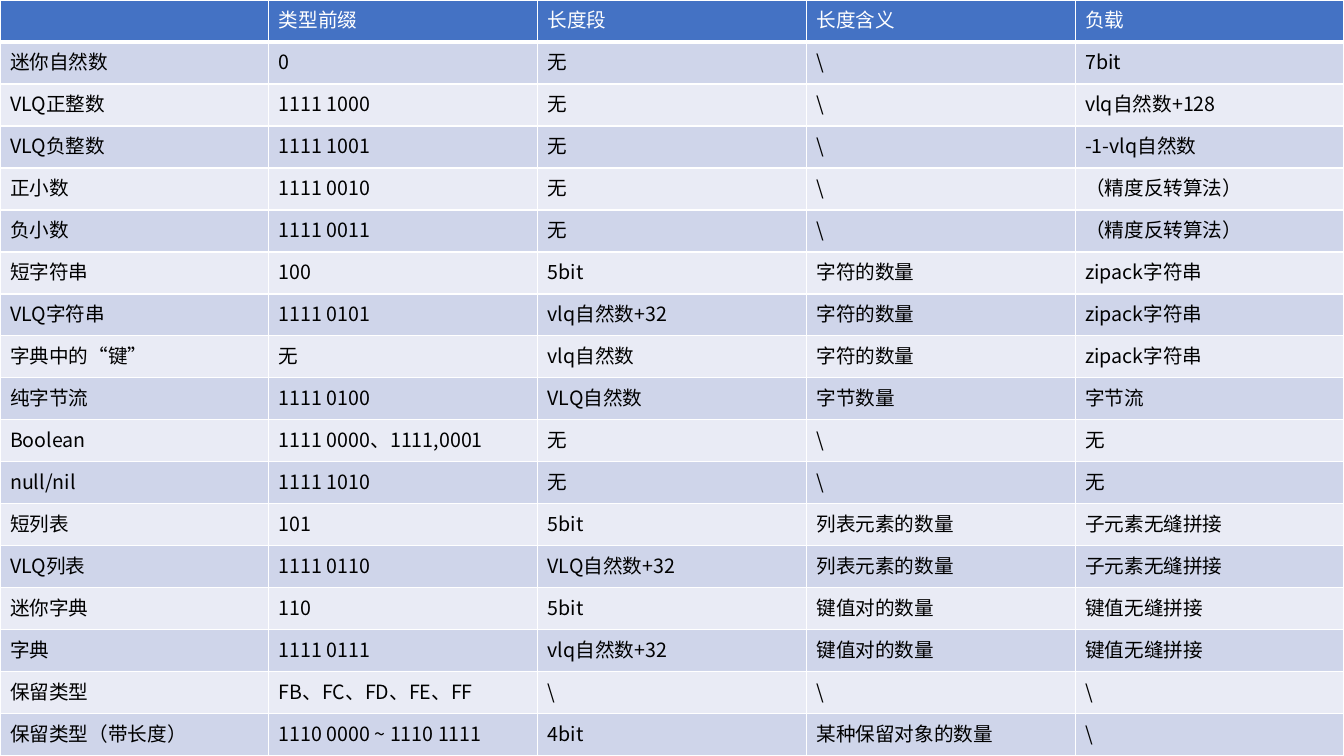
"""Build a one-slide table of type prefixes, length fields and payloads."""
from lxml.etree import SubElement
from pptx import Presentation
from pptx.dml.color import RGBColor
from pptx.oxml.ns import qn
from pptx.util import Pt

FONT = "Noto Sans CJK SC"
COLORS = {
    "background": "000000",
    "header": "4472C4",
    "odd_row": "CFD5EA",
    "even_row": "E9EBF5",
    "border": "FFFFFF",
    "header_text": "FFFFFF",
    "body_text": "000000",
}
ROWS = [
    ("", "类型前缀", "长度段", "长度含义", "负载"),
    ("迷你自然数", "0", "无", "\\", "7bit"),
    ("VLQ正整数", "1111 1000", "无", "\\", "vlq自然数+128"),
    ("VLQ负整数", "1111\u00a01001", "无", "\\", "-1-vlq自然数"),
    ("正小数", "1111 0010", "无", "\\", "（精度反转算法）"),
    ("负小数", "1111 0011", "无", "\\", "（精度反转算法）"),
    ("短字符串", "100", "5bit", "字符的数量", "zipack字符串"),
    ("VLQ字符串", "1111 0101", "vlq自然数+32", "字符的数量", "zipack字符串"),
    ("字典中的“键”", "无", "vlq自然数", "字符的数量", "zipack字符串"),
    ("纯字节流", "1111 0100", "VLQ自然数", "字节数量", "字节流"),
    ("Boolean", "1111 0000、1111,0001", "无", "\\", "无"),
    ("null/nil", "1111 1010", "无", "\\", "无"),
    ("短列表", "101", "5bit", "列表元素的数量", "子元素无缝拼接"),
    ("VLQ列表", "1111 0110", "VLQ自然数+32", "列表元素的数量", "子元素无缝拼接"),
    ("迷你字典", "110", "5bit", "键值对的数量", "键值无缝拼接"),
    ("字典", "1111 0111", "vlq自然数+32", "键值对的数量", "键值无缝拼接"),
    ("保留类型", "FB、FC、FD、FE、FF", "\\", "\\", "\\"),
    ("保留类型（带长度）", "1110 0000 ~ 1110 1111", "4bit", "某种保留对象的数量", "\\"),
]


def set_borders(cell, widths):
    tc_pr = cell._tc.get_or_add_tcPr()
    for i, (side, width) in enumerate(widths.items()):
        ln = tc_pr.makeelement(qn(f"a:ln{side}"), {"w": str(Pt(width))})
        fill = SubElement(ln, qn("a:solidFill"))
        SubElement(fill, qn("a:srgbClr"), val=COLORS["border"])
        tc_pr.insert(i, ln)


def format_text(p, color):
    for r in p.runs:
        r.font.size = Pt(14)
        r.font.name = FONT
        r.font.color.rgb = RGBColor.from_string(color)
        SubElement(r._r.get_or_add_rPr(), qn("a:ea"), typeface=FONT)
    if not p.runs:
        SubElement(p._p, qn("a:endParaRPr"), sz="1400")


prs = Presentation()
prs.slide_width, prs.slide_height = Pt(960), Pt(540)
s = prs.slides.add_slide(prs.slide_layouts[6])
s.background.fill.solid()
s.background.fill.fore_color.rgb = RGBColor.from_string(COLORS["background"])

table = s.shapes.add_table(len(ROWS), len(ROWS[0]), 0, 0, Pt(960), Pt(540)).table
for row in table.rows:
    row.height = Pt(540 / len(ROWS))

for i, texts in enumerate(ROWS):
    if i == 0:
        fill, color = COLORS["header"], COLORS["header_text"]
    else:
        fill, color = COLORS["odd_row" if i % 2 else "even_row"], COLORS["body_text"]
    for j, text in enumerate(texts):
        cell = table.cell(i, j)
        cell.fill.solid()
        cell.fill.fore_color.rgb = RGBColor.from_string(fill)
        set_borders(cell, {"L": 1, "R": 1, "T": 3 if i == 1 else 1, "B": 3 if i == 0 else 1})
        p = cell.text_frame.paragraphs[0]
        p.text = text
        format_text(p, color)

prs.save("out.pptx")
